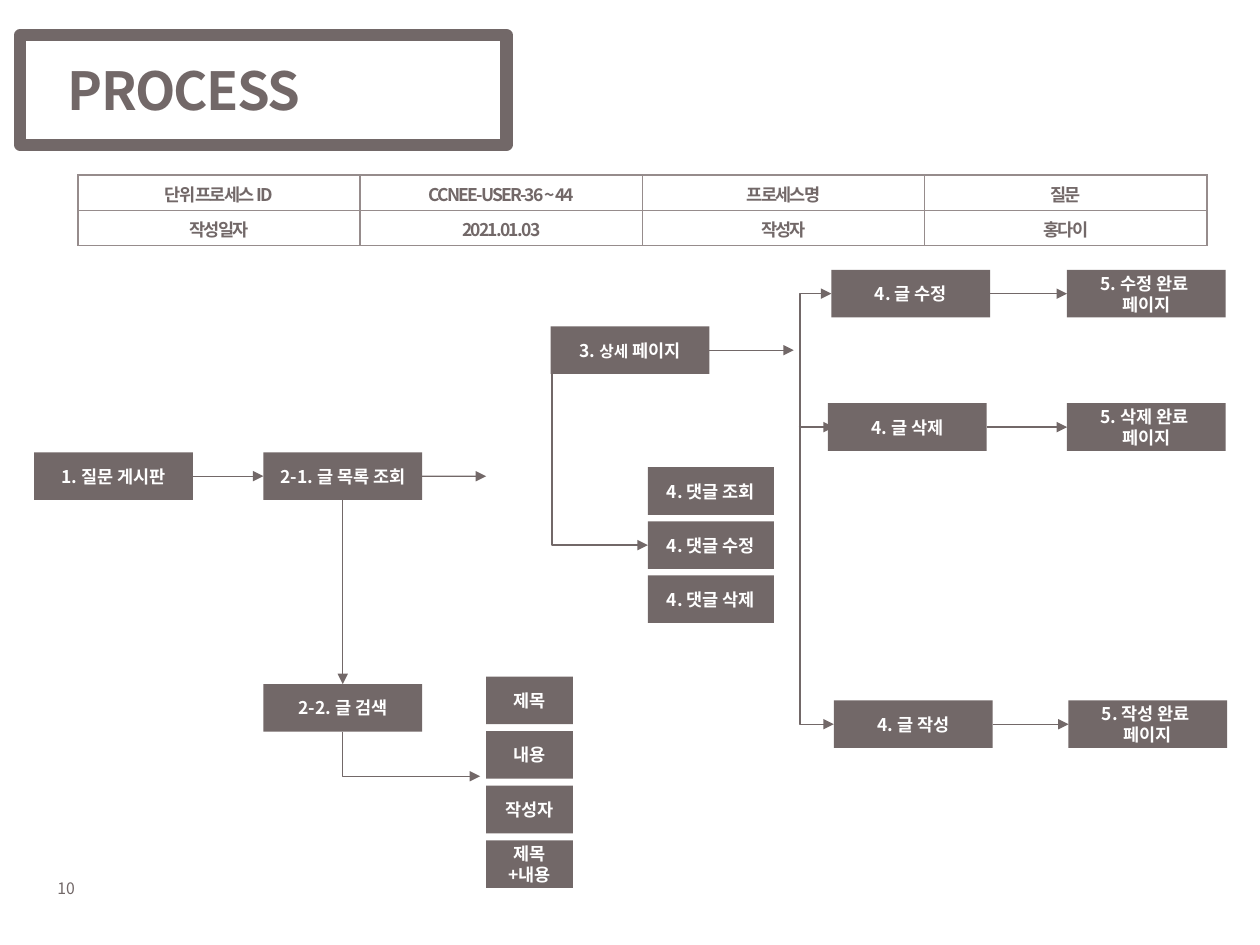
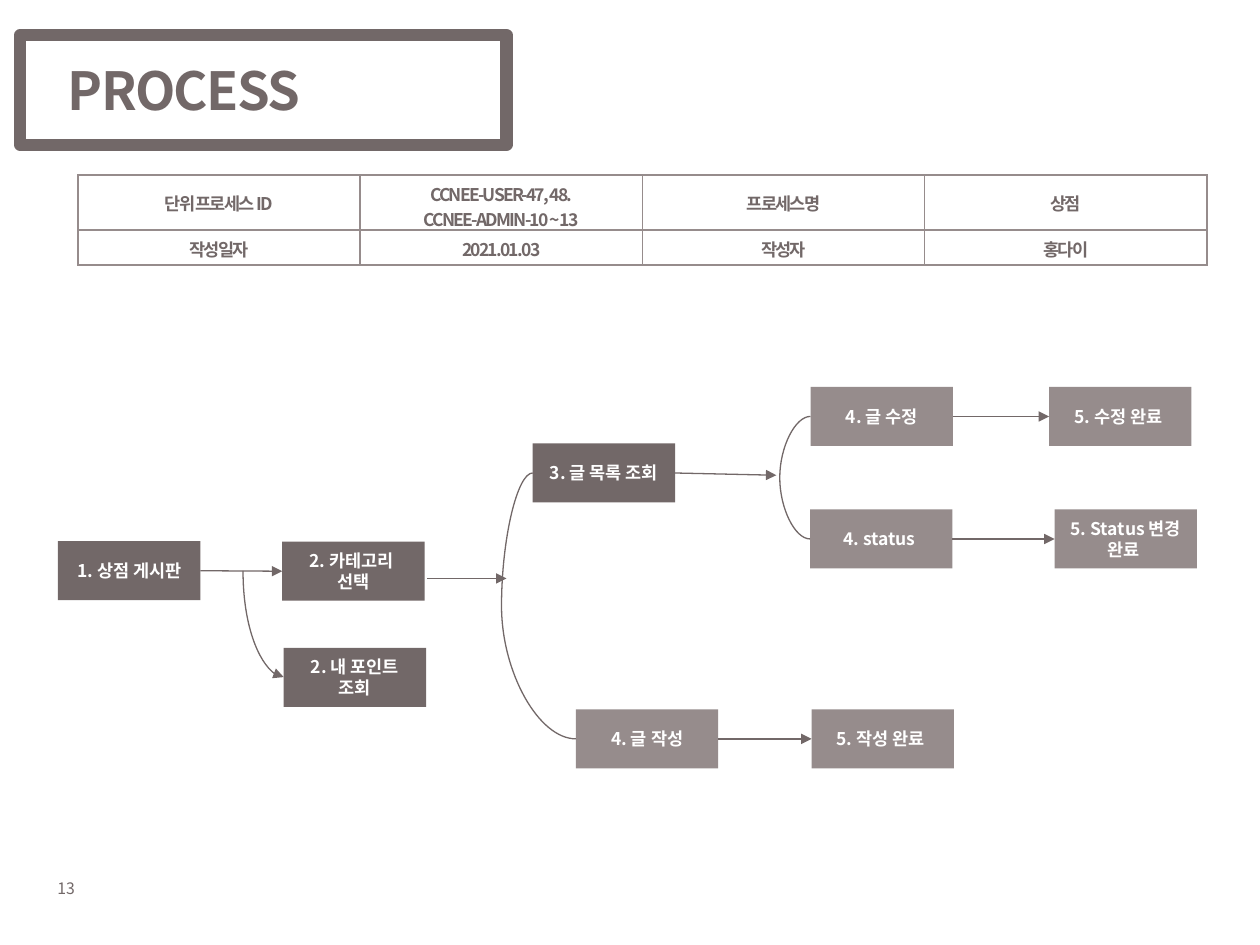
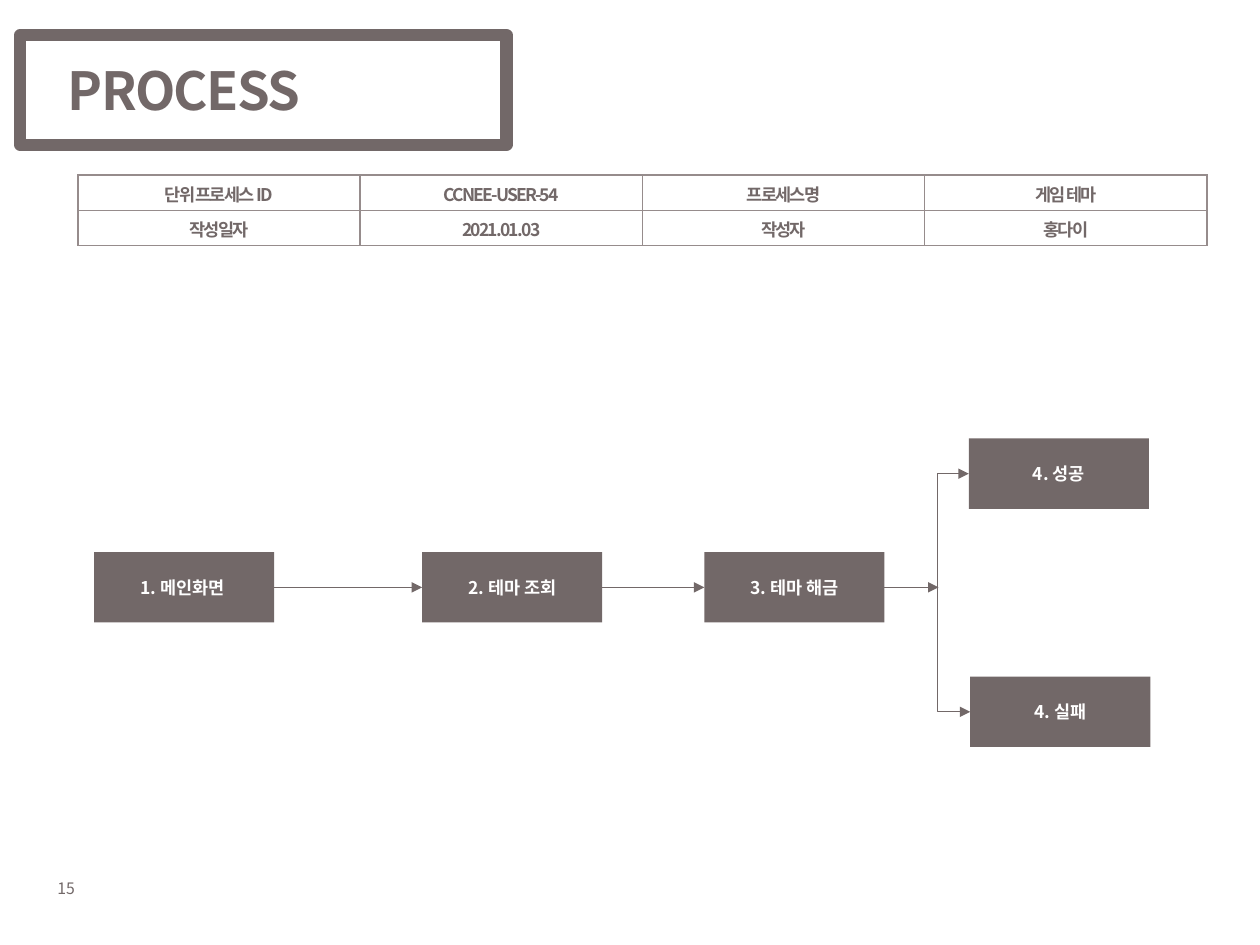
from lxml.etree import SubElement
from pptx import Presentation
from pptx.dml.color import RGBColor
from pptx.enum.shapes import MSO_CONNECTOR, MSO_SHAPE
from pptx.enum.text import MSO_ANCHOR, MSO_AUTO_SIZE, PP_ALIGN
from pptx.oxml.ns import qn
from pptx.util import Cm, Pt

# Shared look
BROWN = RGBColor(0x72, 0x68, 0x68)
LIGHT_BROWN = RGBColor(0x96, 0x8C, 0x8C)
WHITE = RGBColor(0xFF, 0xFF, 0xFF)
FONT = "Noto Sans CJK KR"
TOP, LEFT, BOTTOM, RIGHT = range(4)


# Text
def add_run(paragraph, text, size, color, bold=True, spacing=None):
    run = paragraph.add_run()
    run.text = text
    run.font.size = Pt(size)
    run.font.bold = bold
    run.font.name = FONT
    run.font.color.rgb = color
    properties = run.font._element
    SubElement(properties, qn("a:ea")).set("typeface", FONT)
    if spacing is not None:
        properties.set("spc", str(spacing * 100))


def add_centred_lines(frame, lines, color, spacing=None):
    """Each line is a string, or a list of (text, size) runs."""
    for index, line in enumerate(lines):
        paragraph = frame.add_paragraph() if index else frame.paragraphs[0]
        paragraph.alignment = PP_ALIGN.CENTER
        for text, size in [(line, 10)] if isinstance(line, str) else line:
            add_run(paragraph, text, size, color, spacing=spacing)


# Frame, title and page number of every slide
def add_process_slide(deck, page_number, process_id, process_name):
    slide = deck.slides.add_slide(deck.slide_layouts[6])

    number = slide.shapes.add_textbox(Cm(0.91), Cm(17.6), Cm(1.32), Cm(0.64)).text_frame
    number.word_wrap = False
    number.auto_size = MSO_AUTO_SIZE.SHAPE_TO_FIT_TEXT
    add_run(number.paragraphs[0], str(page_number), 9, BROWN, bold=False)

    title = slide.shapes.add_textbox(Cm(1.12), Cm(0.2), Cm(18.21), Cm(3.2)).text_frame
    title.word_wrap = True
    title.vertical_anchor = MSO_ANCHOR.MIDDLE
    add_run(title.paragraphs[0], "PROCESS", 30, BROWN, spacing=-1)

    frame = slide.shapes.add_shape(MSO_SHAPE.RECTANGLE, Cm(0.41), Cm(0.71), Cm(9.8), Cm(2.21))
    frame.shadow.inherit = False
    frame.fill.background()
    frame.line.color.rgb = BROWN
    frame.line.width = Pt(7)

    add_summary_table(slide, [
        [["단위 프로세스 ID"], process_id, ["프로세스명"], [process_name]],
        [["작성일자"], ["2021.01.03"], ["작성자"], ["홍다이"]],
    ])
    return slide


def add_summary_table(slide, rows):
    table = slide.shapes.add_table(
        len(rows), 4, Cm(1.57), Cm(3.53), Cm(22.76), Cm(1.42)).table
    table.first_row = table.horz_banding = False
    for row_index, row in enumerate(rows):
        table.rows[row_index].height = Cm(0.71)
        for column, lines in enumerate(row):
            cell = table.cell(row_index, column)
            cell.vertical_anchor = MSO_ANCHOR.MIDDLE
            cell.fill.background()
            add_centred_lines(cell.text_frame, lines, BROWN, spacing=-1)
            add_borders(cell)


def add_borders(cell):
    properties = cell._tc.get_or_add_tcPr()
    for position, side in enumerate(("a:lnL", "a:lnR", "a:lnT", "a:lnB")):
        border = SubElement(properties, qn(side))
        border.set("w", str(Pt(1)))
        fill = SubElement(border, qn("a:solidFill"))
        SubElement(fill, qn("a:srgbClr")).set("val", str(LIGHT_BROWN))
        properties.insert(position, border)


# Process steps
def add_step(slide, x, y, size, *lines, fill=BROWN):
    width, height = size
    step = slide.shapes.add_shape(
        MSO_SHAPE.RECTANGLE, Cm(x), Cm(y), Cm(width), Cm(height))
    step.shadow.inherit = False
    step.fill.solid()
    step.fill.fore_color.rgb = fill
    step.line.fill.background()
    step.text_frame.word_wrap = True
    step.text_frame.vertical_anchor = MSO_ANCHOR.MIDDLE
    add_centred_lines(step.text_frame, lines, WHITE)
    return step


# Connectors
def style_connector(connector, head=False, tail=False):
    connector.line.color.rgb = BROWN
    connector.line.width = Pt(0.75)
    line = connector.line._get_or_add_ln()
    for wanted, tag in ((head, "a:headEnd"), (tail, "a:tailEnd")):
        if wanted:
            SubElement(line, qn(tag)).set("type", "triangle")
    SubElement(connector._element.spPr, qn("a:effectLst"))


def add_arrow(slide, start, end, start_side=RIGHT, end_side=LEFT):
    """Straight arrow; each end is a step or an (x, y) point."""
    start_free, end_free = isinstance(start, tuple), isinstance(end, tuple)
    x1, y1 = start if start_free else (0, 0)
    x2, y2 = end if end_free else (0, 0)
    arrow = slide.shapes.add_connector(
        MSO_CONNECTOR.STRAIGHT, Cm(x1), Cm(y1), Cm(x2), Cm(y2))
    if not start_free:
        arrow.begin_connect(start, start_side)
    if not end_free:
        arrow.end_connect(end, end_side)
    style_connector(arrow, tail=True)


def add_fork(slide, upper, lower, bend_x, kind=MSO_CONNECTOR.ELBOW, arrows=True):
    """Bracket between the left sides of two steps, reaching out to bend_x."""
    fork = slide.shapes.add_connector(kind, 0, 0, 0, 0)
    fork.begin_connect(upper, LEFT)
    fork.end_connect(lower, LEFT)
    bend = (Cm(bend_x) - fork.begin_x) / (fork.end_x - fork.begin_x)
    adjustments = fork._element.spPr.find(qn("a:prstGeom")).find(qn("a:avLst"))
    guide = SubElement(adjustments, qn("a:gd"))
    guide.set("name", "adj1")
    guide.set("fmla", f"val {round(bend * 100000)}")
    style_connector(fork, head=arrows, tail=arrows)


def add_corner_arrow(slide, x1, y1, x2, y2, kind=MSO_CONNECTOR.ELBOW):
    """Arrow that leaves downwards and arrives from the left."""
    centre_x, centre_y = (x1 + x2) / 2, (y1 + y2) / 2
    half_run, half_drop = (x2 - x1) / 2, (y2 - y1) / 2
    # A flipped box turned by 270 degrees makes the vertical leg come first
    corner = slide.shapes.add_connector(
        kind, Cm(centre_x + half_drop), Cm(centre_y - half_run),
        Cm(centre_x - half_drop), Cm(centre_y + half_run))
    properties = corner._element.spPr
    properties.find(qn("a:xfrm")).set("rot", str(270 * 60000))
    preset = "bentConnector2" if kind == MSO_CONNECTOR.ELBOW else "curvedConnector2"
    properties.find(qn("a:prstGeom")).set("prst", preset)
    style_connector(corner, tail=True)


# Slides
def add_question_slide(deck):
    slide = add_process_slide(deck, 10, ["CCNEE-USER-36 ~ 44"], "질문")
    size = (3.2, 0.96)
    board = add_step(slide, 0.69, 9.12, size, "1. 질문 게시판")
    post_list = add_step(slide, 5.31, 9.12, size, "2-1. 글 목록 조회")
    search = add_step(slide, 5.31, 13.79, size, "2-2. 글 검색")
    detail = add_step(slide, 11.1, 6.58, size, [("3. ", 10), ("상세", 9), (" 페이지", 10)])

    actions = []
    for name, x, done_x, y in (("수정", 16.76, 21.51, 5.44),
                               ("삭제", 16.69, 21.51, 8.13),
                               ("작성", 16.81, 21.54, 14.12)):
        action = add_step(slide, x, y, size, f"4. 글 {name}")
        done = add_step(slide, done_x, y, size, f"5. {name} 완료 ", "페이지")
        add_arrow(slide, action, done)
        actions.append(action)

    for row, field in enumerate(("제목", "내용", "작성자", "제목+내용")):
        add_step(slide, 9.8, 13.64 + 1.1 * row, (1.75, 0.96), field)
    for row, name in enumerate(("조회", "수정", "삭제")):
        add_step(slide, 13.06, 9.42 + 1.09 * row, (2.54, 0.96), f"4. 댓글 {name}")

    add_arrow(slide, board, post_list)
    add_arrow(slide, post_list, (9.8, 9.6))
    add_arrow(slide, post_list, search, BOTTOM, TOP)
    add_arrow(slide, detail, (16, 7.06))
    add_corner_arrow(slide, 6.91, 14.75, 9.68, 15.65)
    add_corner_arrow(slide, 11.13, 7.53, 13.06, 10.99)
    add_fork(slide, actions[0], actions[-1], 16.13)
    add_arrow(slide, (16.1, 8.61), (16.81, 8.61))


def add_shop_slide(deck):
    slide = add_process_slide(
        deck, 13, ["CCNEE-USER-47, 48.", "CCNEE-ADMIN-10 ~ 13"], "상점")
    size = (2.87, 1.19)
    board = add_step(slide, 1.17, 10.91, size, "1. 상점 게시판")
    category = add_step(slide, 5.69, 10.92, size, "2. 카테고리 ", "선택")
    add_step(slide, 5.72, 13.06, size, "2. 내 포인트 조회")
    post_list = add_step(slide, 10.74, 8.94, size, "3. 글 목록 조회")

    actions = []
    for action_text, done_text, x, done_x, y in (
            ("4. 글 수정", "5. 수정 완료 ", 16.34, 21.15, 7.8),
            ("4. status ", "5. Status 변경 완료 ", 16.33, 21.26, 10.27),
            ("4. 글 작성", "5. 작성 완료 ", 11.61, 16.36, 14.3)):
        action = add_step(slide, x, y, size, action_text, fill=LIGHT_BROWN)
        done = add_step(slide, done_x, y, size, done_text, fill=LIGHT_BROWN)
        add_arrow(slide, action, done)
        actions.append(action)
    edit, status, write = actions

    add_arrow(slide, board, category)
    add_corner_arrow(slide, 4.9, 11.51, 5.72, 13.65, MSO_CONNECTOR.CURVE)
    add_fork(slide, post_list, write, 10.11, MSO_CONNECTOR.CURVE, arrows=False)
    add_arrow(slide, (8.61, 11.66), (10.21, 11.66))
    add_fork(slide, edit, status, 15.72, MSO_CONNECTOR.CURVE, arrows=False)
    add_arrow(slide, post_list, (15.65, 9.58))


def add_theme_slide(deck):
    slide = add_process_slide(deck, 15, ["CCNEE-USER-54"], "게임 테마")
    size = (3.63, 1.42)
    main_screen = add_step(slide, 1.9, 11.13, size, "1. 메인화면 ")
    view = add_step(slide, 8.51, 11.13, size, "2. 테마 조회")
    unlock = add_step(slide, 14.2, 11.13, size, "3. 테마 해금")
    failure = add_step(slide, 19.56, 13.64, size, "4. 실패")
    success = add_step(slide, 19.53, 8.84, size, "4. 성공")
    add_arrow(slide, main_screen, view)
    add_arrow(slide, view, unlock)
    add_arrow(slide, unlock, (18.92, 11.84))
    add_fork(slide, success, failure, 18.9)


def main():
    deck = Presentation()
    deck.slide_width, deck.slide_height = Cm(25.4), Cm(19.05)
    add_question_slide(deck)
    add_shop_slide(deck)
    add_theme_slide(deck)
    deck.save("out.pptx")


if __name__ == "__main__":
    main()
